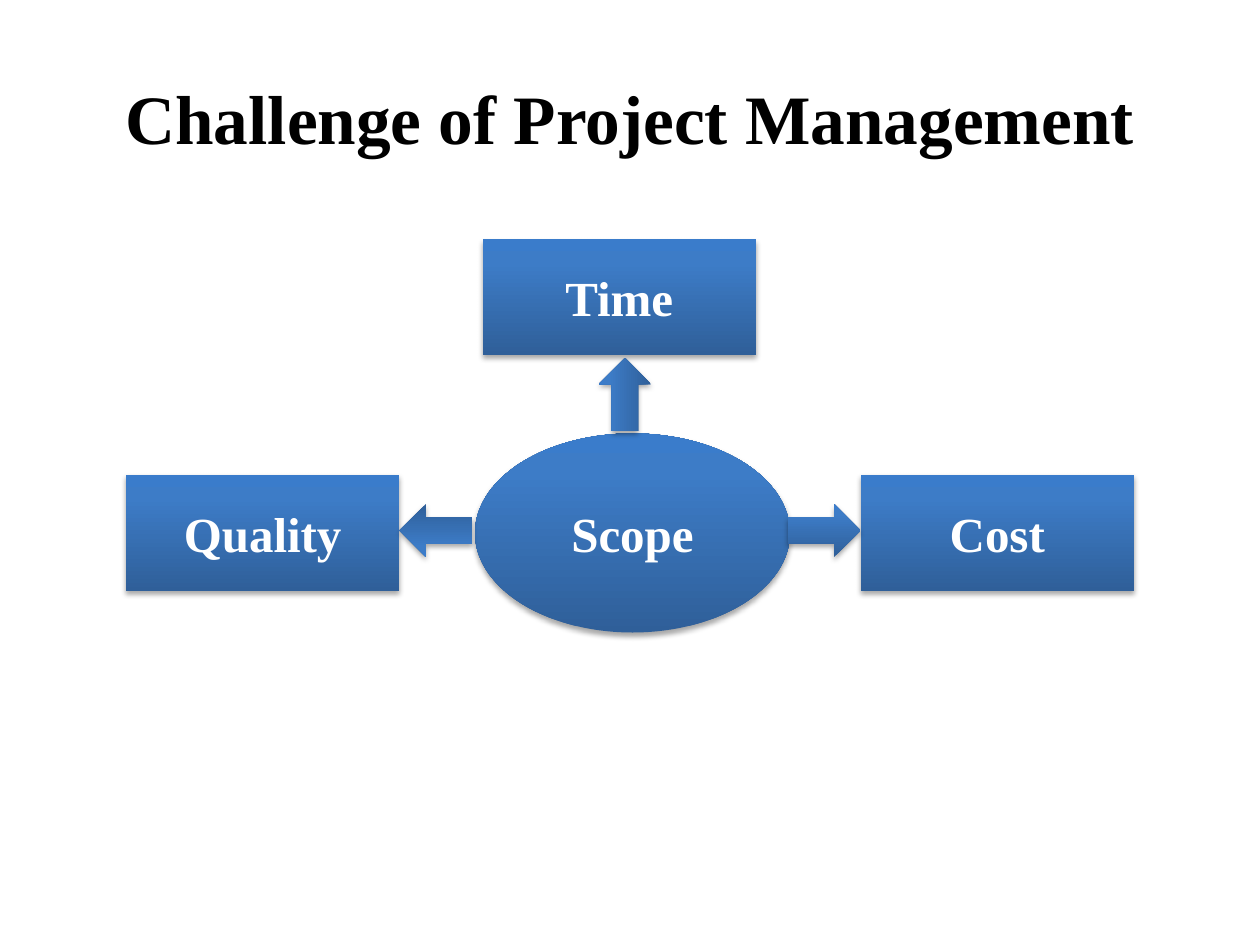
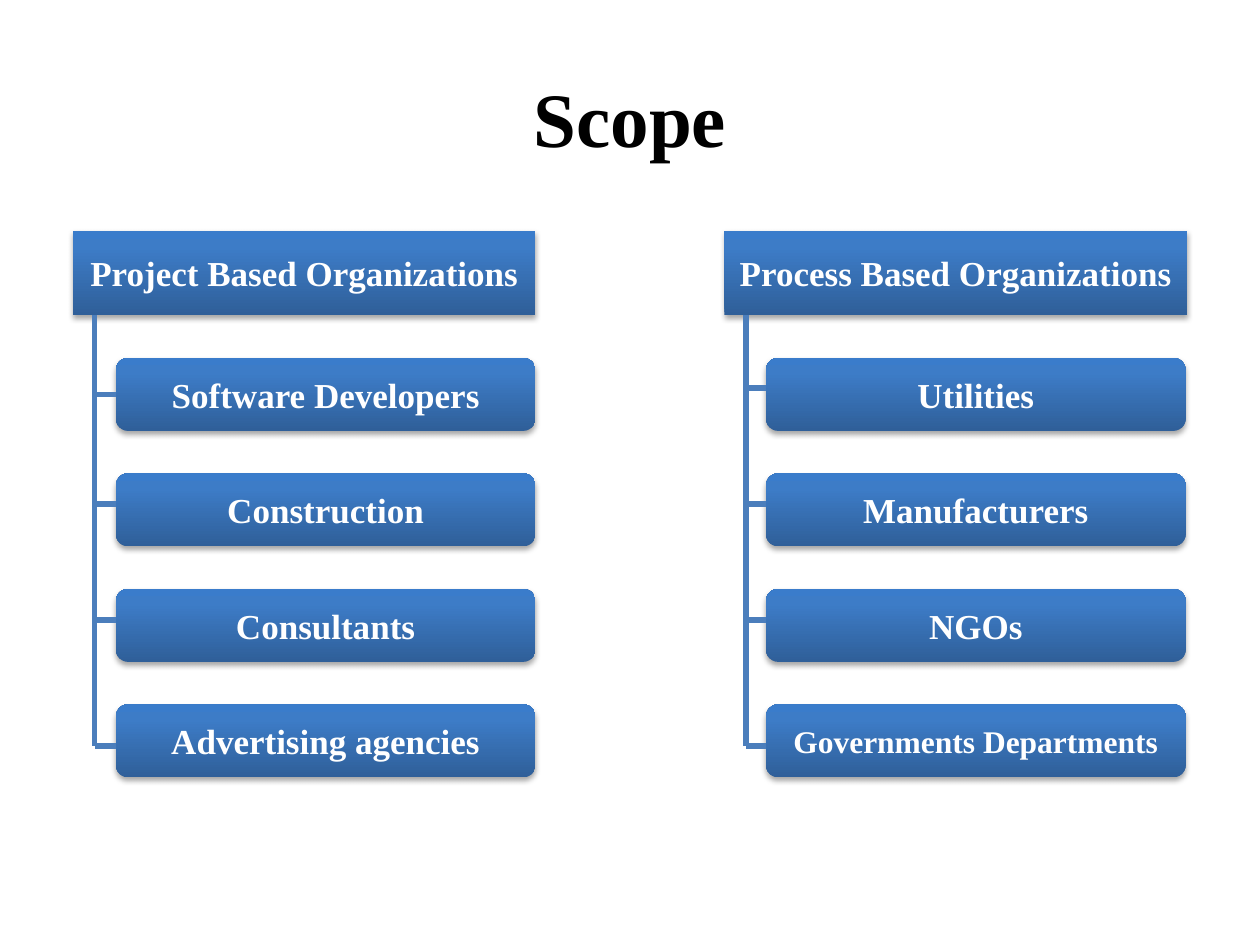
"""Build two project management slides: a scope diagram and two organization trees."""
from copy import deepcopy
from dataclasses import dataclass

from pptx import Presentation
from pptx.dml.color import RGBColor
from pptx.enum.shapes import MSO_CONNECTOR, MSO_SHAPE
from pptx.enum.text import MSO_ANCHOR, PP_ALIGN
from pptx.oxml.ns import qn
from pptx.oxml.xmlchemy import OxmlElement
from pptx.shapes.autoshape import Shape
from pptx.shapes.shapetree import GroupShapes, SlideShapes
from pptx.slide import Slide
from pptx.util import Inches, Pt

RECTANGLE = MSO_SHAPE.RECTANGLE
ROUNDED = MSO_SHAPE.ROUNDED_RECTANGLE
OVAL = MSO_SHAPE.OVAL
ARROW = MSO_SHAPE.RIGHT_ARROW
STRAIGHT = MSO_CONNECTOR.STRAIGHT
CENTER = PP_ALIGN.CENTER
MIDDLE = MSO_ANCHOR.MIDDLE

FONT = "Times New Roman"
BLACK, WHITE = "000000", "FFFFFF"
LINE_COLOR = "4B7EBC"
GRADIENT = ((0, "2F5F99"), (0.8, "3D7CC7"), (1, "3A7CCB"))

Shapes = SlideShapes | GroupShapes


@dataclass(frozen=True)
class Block:
    """A gradient shape with an optional label and rotation."""

    kind: MSO_SHAPE
    left: float
    top: float
    width: float
    height: float
    label: str = ""
    size: float = 20
    rotation: float = 0


@dataclass(frozen=True)
class Tree:
    """A heading with a trunk line and its members."""

    left: float
    trunk: float
    member_left: float
    heading: str
    members: tuple[tuple[str, float], ...]
    branch_tops: tuple[float, ...]


def color(value: str) -> RGBColor:
    """Turn a hex string into a colour."""
    return RGBColor.from_string(value)


def write(shape: Shape, text: str, size: float, text_color: str) -> None:
    """Write one bold centred run in a shape."""
    frame = shape.text_frame
    frame.word_wrap = True
    frame.vertical_anchor = MIDDLE
    paragraph = frame.paragraphs[0]
    paragraph.alignment = CENTER
    run = paragraph.add_run()
    run.text = text
    run.font.name = FONT
    run.font.size = Pt(size)
    run.font.bold = True
    run.font.color.rgb = color(text_color)


def fill_gradient(shape: Shape) -> None:
    """Fill a shape with the shared gradient, dark at the bottom."""
    shape.fill.gradient()
    shape.fill.gradient_angle = 90
    stop_list = shape.fill.gradient_stops
    first = shape._element.spPr.find(".//" + qn("a:gs"))
    first.addnext(deepcopy(first))
    stop_list = shape.fill.gradient_stops
    for stop, (position, value) in zip(stop_list, GRADIENT):
        stop.position = position
        stop.color.rgb = color(value)


def add_shadow(shape: Shape) -> None:
    """Give a shape the shared soft shadow below it."""
    shape.shadow.inherit = False
    shadow = OxmlElement("a:outerShdw")
    for name, value in (("blurRad", Pt(3.1)), ("dist", Pt(1.8)),
                        ("dir", 5400000), ("rotWithShape", 0)):
        shadow.set(name, str(value))
    shade = OxmlElement("a:srgbClr")
    shade.set("val", BLACK)
    alpha = OxmlElement("a:alpha")
    alpha.set("val", "35000")
    shade.append(alpha)
    shadow.append(shade)
    shape._element.spPr.find(qn("a:effectLst")).append(shadow)


def add_block(shapes: Shapes, block: Block) -> None:
    """Draw one gradient block."""
    shape = shapes.add_shape(block.kind, Inches(block.left), Inches(block.top),
                             Inches(block.width), Inches(block.height))
    shape.rotation = block.rotation
    fill_gradient(shape)
    shape.line.fill.background()
    add_shadow(shape)
    if block.label:
        write(shape, block.label, block.size, WHITE)


def add_line(shapes: Shapes, x1: float, y1: float, x2: float, y2: float) -> None:
    """Draw one plain tree line."""
    line = shapes.add_connector(STRAIGHT, Inches(x1), Inches(y1), Inches(x2), Inches(y2))
    line.line.color.rgb = color(LINE_COLOR)
    line.line.width = Pt(3)
    line._element.spPr.append(OxmlElement("a:effectLst"))


def add_titled_slide(presentation: Presentation, title: str, size: float) -> Slide:
    """Add a blank slide with the shared title."""
    slide = presentation.slides.add_slide(presentation.slide_layouts[6])
    box = slide.shapes.add_textbox(Inches(0.5), Inches(0.3), Inches(9), Inches(1.25))
    write(box, title, size, BLACK)
    return slide


def add_tree(slide: Slide, tree: Tree) -> None:
    """Draw a grouped heading, trunk and members, then the branches."""
    group = slide.shapes.add_group_shape().shapes
    add_block(group, Block(RECTANGLE, tree.left, 1.83, 3.67, 0.67, tree.heading))
    add_line(group, tree.trunk, 2.5, tree.trunk, tree.branch_tops[-1])
    for index, (label, size) in enumerate(tree.members):
        top = 2.84 + index * 2.75 / 3
        add_block(group, Block(ROUNDED, tree.member_left, top, 3.33, 0.58, label, size))
    for top in tree.branch_tops:
        add_line(slide.shapes, tree.trunk, top, tree.member_left, top)


def build_challenge(presentation: Presentation) -> None:
    """Build the diagram of scope with its three constraints."""
    slide = add_titled_slide(presentation, "Challenge of Project Management", 39.6)
    for label, left, top in (("Quality", 1, 3.77), ("Cost", 6.83, 3.77), ("Time", 3.83, 1.9)):
        add_block(slide.shapes, Block(RECTANGLE, left, top, 2.17, 0.92, label, 28))
    add_block(slide.shapes, Block(OVAL, 3.77, 3.44, 2.5, 1.58, "Scope", 28))
    for left, top, rotation in ((4.67, 2.92, 270), (3.17, 4, 180), (6.25, 4, 0)):
        add_block(slide.shapes, Block(ARROW, left, top, 0.58, 0.42, rotation=rotation))


def build_scope(presentation: Presentation) -> None:
    """Build the two trees of organizations."""
    slide = add_titled_slide(presentation, "Scope", 44)
    project_members = (("Software Developers", 20), ("Construction", 20),
                       ("Consultants", 20), ("Advertising agencies", 20))
    process_members = (("Utilities", 20), ("Manufacturers", 20),
                       ("NGOs", 20), ("Governments Departments", 18))
    add_tree(slide, Tree(0.58, 0.75, 0.92, "Project Based Organizations",
                         project_members, (3.13, 4, 4.92, 5.92)))
    add_tree(slide, Tree(5.75, 5.92, 6.08, "Process Based Organizations",
                         process_members, (3.08, 4, 4.92, 5.92)))


def main() -> None:
    """Build and save the presentation."""
    presentation = Presentation()
    presentation.slide_width = Inches(10)
    presentation.slide_height = Inches(7.5)
    build_challenge(presentation)
    build_scope(presentation)
    presentation.save("out.pptx")


main()
